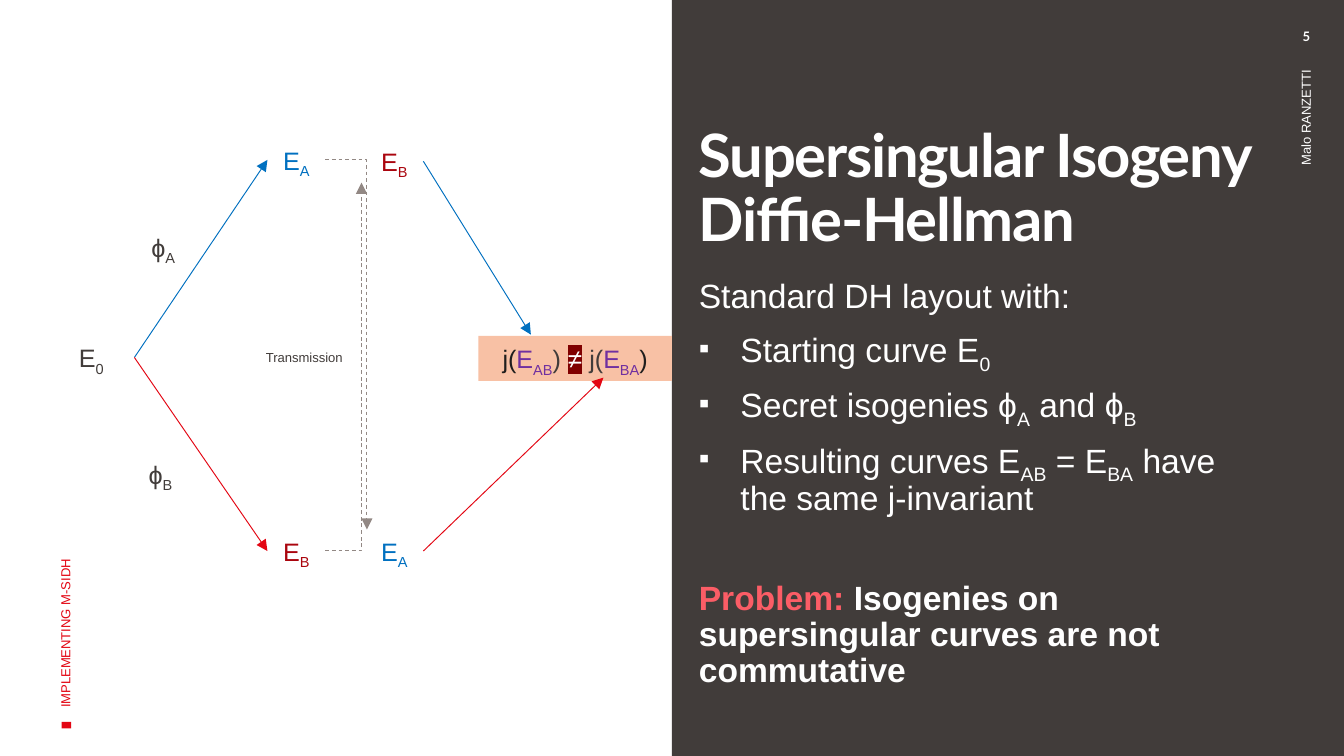
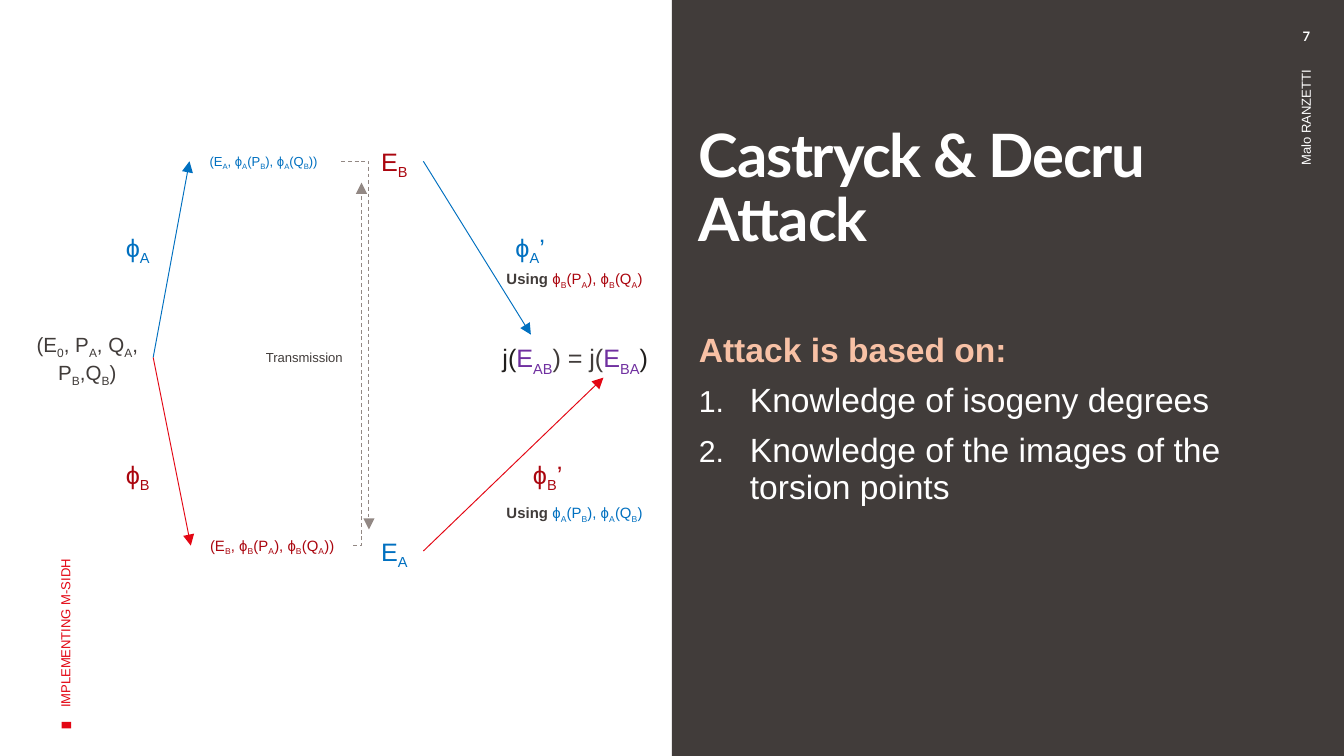
from dataclasses import dataclass
from typing import NamedTuple, Optional

from lxml.etree import SubElement
from pptx import Presentation
from pptx.dml.color import RGBColor
from pptx.enum.dml import MSO_LINE
from pptx.enum.shapes import MSO_CONNECTOR, MSO_SHAPE
from pptx.enum.text import MSO_ANCHOR, MSO_AUTO_SIZE, PP_ALIGN
from pptx.oxml.ns import qn
from pptx.util import Emu, Pt

EMU_PER_PX = 4572
SLIDE_W, SLIDE_H = 2000, 1125


@dataclass(frozen=True)
class Theme:
    white: str = "FFFFFF"
    dark: str = "413C3A"
    ink: str = "201E1D"
    red: str = "E30613"
    bob: str = "AA050E"
    alice: str = "0070C0"
    shared: str = "7030A0"
    grey: str = "928884"
    peach: str = "F8C1A5"
    coral: str = "FB5D66"
    maroon: str = "800000"
    body_font: str = "Arial"
    title_font: str = "Lato"
    title: float = 32
    body: float = 18
    curve: float = 13.5
    unequal: float = 14
    start: float = 11
    detail: float = 8
    small: float = 7
    line: float = 0.5
    spacing: float = 0.9
    gap: float = 7.5


T = Theme()


class Box(NamedTuple):
    x: int
    y: int
    w: int
    h: int


class Span(NamedTuple):
    text: str
    color: str = T.dark
    size: float = T.curve
    bold: bool = False
    font: str = T.body_font
    highlight: Optional[str] = None
    tracking: int = 0


class Para(NamedTuple):
    spans: list[Span]
    align: PP_ALIGN = PP_ALIGN.LEFT
    bullet: Optional[str] = None
    indent: int = 0
    before: float = 0
    spacing: Optional[float] = None


class Label(NamedTuple):
    box: Box
    spans: list[Span]
    align: PP_ALIGN = PP_ALIGN.CENTER
    fill: Optional[str] = None


class Arrow(NamedTuple):
    x1: int
    y1: int
    x2: int
    y2: int
    color: str
    bent: bool = False


class Page(NamedTuple):
    number: str
    title: str
    body_top: int
    body: list[Para]
    labels: list[Label]
    arrows: list[Arrow]


def px(n: int) -> Emu:
    return Emu(n * EMU_PER_PX)


def rgb(color: str) -> RGBColor:
    return RGBColor.from_string(color)


def add_span(p, span: Span) -> None:
    for i, text in enumerate(span.text.split("_")):
        if not text:
            continue
        r = p.add_run()
        r.text = text
        r.font.name = span.font
        r.font.size = Pt(span.size)
        r.font.bold = span.bold
        r.font.color.rgb = rgb(span.color)
        rPr = r.font._element
        if i % 2:
            rPr.set("baseline", "-25000")
        if span.tracking:
            rPr.set("spc", str(span.tracking))
        if span.highlight:
            mark = SubElement(rPr, qn("a:highlight"))
            SubElement(mark, qn("a:srgbClr"), val=span.highlight)
            rPr.find(qn("a:solidFill")).addnext(mark)


def add_bullet(p, bullet: str, indent: int) -> None:
    pPr = p._p.get_or_add_pPr()
    pPr.set("marL", str(px(indent)))
    pPr.set("indent", str(-px(indent)))
    SubElement(SubElement(pPr, qn("a:buClr")), qn("a:srgbClr"), val=T.white)
    SubElement(pPr, qn("a:buSzPct"), val="90000")
    SubElement(pPr, qn("a:buFont"), typeface=T.body_font)
    if bullet == "1.":
        SubElement(pPr, qn("a:buAutoNum"), type="arabicPeriod")
    else:
        SubElement(pPr, qn("a:buChar"), char=bullet)


def add_text(s, box: Box, paras: list[Para], insets=(20, 10, 20, 10),
             anchor=MSO_ANCHOR.TOP, rotation: int = 0, grow: bool = False,
             fill: Optional[str] = None) -> None:
    sp = s.shapes.add_textbox(*map(px, box))
    sp.rotation = rotation
    if fill:
        sp.fill.solid()
        sp.fill.fore_color.rgb = rgb(fill)
    tf = sp.text_frame
    tf.word_wrap = True
    tf.auto_size = MSO_AUTO_SIZE.SHAPE_TO_FIT_TEXT if grow else MSO_AUTO_SIZE.NONE
    tf.vertical_anchor = anchor
    tf.margin_left, tf.margin_top, tf.margin_right, tf.margin_bottom = map(px, insets)
    for i, para in enumerate(paras):
        p = tf.add_paragraph() if i else tf.paragraphs[0]
        if para.bullet:
            add_bullet(p, para.bullet, para.indent)
        p.alignment = para.align
        if para.before:
            p.space_before = Pt(para.before)
        if para.spacing:
            p.line_spacing = para.spacing
        for span in para.spans:
            add_span(p, span)


def add_rect(s, box: Box, color: str, rotation: int = 0) -> None:
    sp = s.shapes.add_shape(MSO_SHAPE.RECTANGLE, *map(px, box))
    sp.shadow.inherit = False
    sp.fill.solid()
    sp.fill.fore_color.rgb = rgb(color)
    sp.line.fill.background()
    sp.rotation = rotation


def add_arrow(s, arrow: Arrow) -> None:
    kind = MSO_CONNECTOR.ELBOW if arrow.bent else MSO_CONNECTOR.STRAIGHT
    cx = s.shapes.add_connector(kind, *map(px, arrow[:4]))
    cx.line.color.rgb = rgb(arrow.color)
    cx.line.width = Pt(T.line)
    spPr = cx._element.spPr
    if arrow.bent:
        spPr.find(qn("a:prstGeom")).set("prst", "bentConnector2")
        cx.line.dash_style = MSO_LINE.DASH
    SubElement(spPr.find(qn("a:ln")), qn("a:tailEnd"), type="triangle")
    SubElement(spPr, qn("a:effectLst"))


def body_para(*spans: Span, bullet: Optional[str] = None, indent: int = 0,
              before: float = T.gap) -> Para:
    return Para(list(spans), bullet=bullet, indent=indent, before=before, spacing=T.spacing)


def body_span(text: str, color: str = T.white, bold: bool = False) -> Span:
    return Span(text, color, T.body, bold)


def symbol(x: int, y: int, text: str, color: str) -> Label:
    return Label(Box(x, y, 86, 66), [Span(text, color)])


def invariant(*relation: Span, fill: Optional[str] = None) -> Label:
    spans = [Span("j(", T.ink), Span("E_AB_", T.shared), *relation,
             Span("E_BA_", T.shared), Span(")", T.ink)]
    return Label(Box(712, 500, 288, 67), spans, fill=fill)


def using(y: int, images: str, color: str) -> Label:
    spans = [Span("Using ", size=T.detail, bold=True), Span(images, color, T.detail)]
    return Label(Box(734, y, 250, 48), spans, PP_ALIGN.LEFT)


EXCHANGE_LABELS = [
    symbol(544, 788, "E_A_", T.alice),
    symbol(544, 208, "E_B_", T.bob),
    Label(Box(376, 510, 170, 44), [Span("Transmission", size=T.small)], PP_ALIGN.LEFT),
]
EXCHANGE_ARROWS = [
    Arrow(630, 240, 790, 498, T.alice),
    Arrow(630, 820, 898, 562, T.red),
]

PAGES = [
    Page(
        "5", "Supersingular Isogeny Diffie-Hellman", 406,
        [
            body_para(body_span("Standard DH layout with:"), before=0),
            *[body_para(body_span(text), bullet="▪", indent=62) for text in (
                "Starting curve E_0_",
                "Secret isogenies ϕ_A_ and ϕ_B_",
                "Resulting curves E_AB_ = E_BA_ have the same j-invariant",
            )],
            body_para(
                body_span("Problem: ", T.coral, True),
                body_span("Isogenies on supersingular curves are not commutative", bold=True),
                before=34),
        ],
        [
            Label(Box(72, 500, 128, 66), [Span("E_0_")]),
            invariant(Span(") "),
                      Span("≠", T.white, T.unequal, highlight=T.maroon),
                      Span(" j("), fill=T.peach),
            symbol(398, 206, "E_A_", T.alice),
            symbol(398, 788, "E_B_", T.bob),
            symbol(200, 336, "ϕ_A_", T.dark),
            symbol(196, 674, "ϕ_B_", T.dark),
        ],
        [
            Arrow(200, 532, 398, 238, T.alice),
            Arrow(200, 532, 398, 820, T.red),
            Arrow(484, 820, 538, 272, T.grey, True),
            Arrow(484, 238, 546, 788, T.grey, True),
        ],
    ),
    Page(
        "7", "Castryck & Decru Attack", 486,
        [
            body_para(body_span("Attack is based on:", T.peach, True), before=0),
            *[body_para(body_span(text), bullet="1.", indent=76) for text in (
                "Knowledge of isogeny degrees",
                "Knowledge of the images of the torsion points",
            )],
        ],
        [
            Label(Box(30, 484, 200, 94),
                  [Span("(E_0_, P_A_, Q_A_, P_B_,Q_B_)", size=T.start)]),
            invariant(Span(") = j(")),
            Label(Box(282, 218, 226, 44),
                  [Span("(E_A_, ϕ_A_(P_B_), ϕ_A_(Q_B_)) ", T.alice, T.small)]),
            Label(Box(284, 788, 242, 48),
                  [Span("(E_B_, ϕ_B_(P_A_), ϕ_B_(Q_A_))", T.bob, T.detail)]),
            symbol(162, 336, "ϕ_A_", T.alice),
            symbol(162, 674, "ϕ_B_", T.bob),
            symbol(746, 336, "ϕ_A_’", T.alice),
            symbol(772, 674, "ϕ_B_’", T.bob),
            using(740, "ϕ_A_(P_B_), ϕ_A_(Q_B_)", T.alice),
            using(392, "ϕ_B_(P_A_), ϕ_B_(Q_A_)", T.bob),
        ],
        [
            Arrow(228, 532, 282, 240, T.alice),
            Arrow(228, 532, 284, 812, T.red),
            Arrow(526, 812, 538, 272, T.grey, True),
            Arrow(508, 240, 549, 788, T.grey, True),
        ],
    ),
]


def add_frame(s, page: Page) -> None:
    add_rect(s, Box(94, 1072, 10, 14), T.red, 270)
    add_rect(s, Box(1000, 0, 1000, SLIDE_H), T.dark)
    title = Span(page.title, T.white, T.title, True, T.title_font, tracking=-70)
    add_text(s, Box(1000, 170, 888, 236), [Para([title], spacing=T.spacing)],
             (40, 0, 16, 10), MSO_ANCHOR.MIDDLE)
    add_text(s, Box(1000, page.body_top, 888, 1034 - page.body_top), page.body,
             (40, 10, 20, 10))
    add_text(s, Box(-268, 608, 730, 200),
             [Para([Span("IMPLEMENTING M-SIDH", T.red, T.small)])],
             anchor=MSO_ANCHOR.MIDDLE, rotation=270)
    add_text(s, Box(1556, 410, 774, 112),
             [Para([Span("Malo RANZETTI ", T.white, T.small)], PP_ALIGN.RIGHT)],
             anchor=MSO_ANCHOR.MIDDLE, rotation=270)
    number = Span(page.number, T.white, T.small, True, T.title_font)
    add_text(s, Box(1888, 42, 112, 36), [Para([number], PP_ALIGN.CENTER)], (20, 0, 20, 0))


def add_page(prs, page: Page) -> None:
    s = prs.slides.add_slide(prs.slide_layouts[6])
    add_frame(s, page)
    for label in page.labels + EXCHANGE_LABELS:
        add_text(s, label.box, [Para(label.spans, label.align)], grow=True, fill=label.fill)
    for arrow in page.arrows + EXCHANGE_ARROWS:
        add_arrow(s, arrow)


def main() -> None:
    prs = Presentation()
    prs.slide_width, prs.slide_height = px(SLIDE_W), px(SLIDE_H)
    for page in PAGES:
        add_page(prs, page)
    prs.save("out.pptx")


if __name__ == "__main__":
    main()
